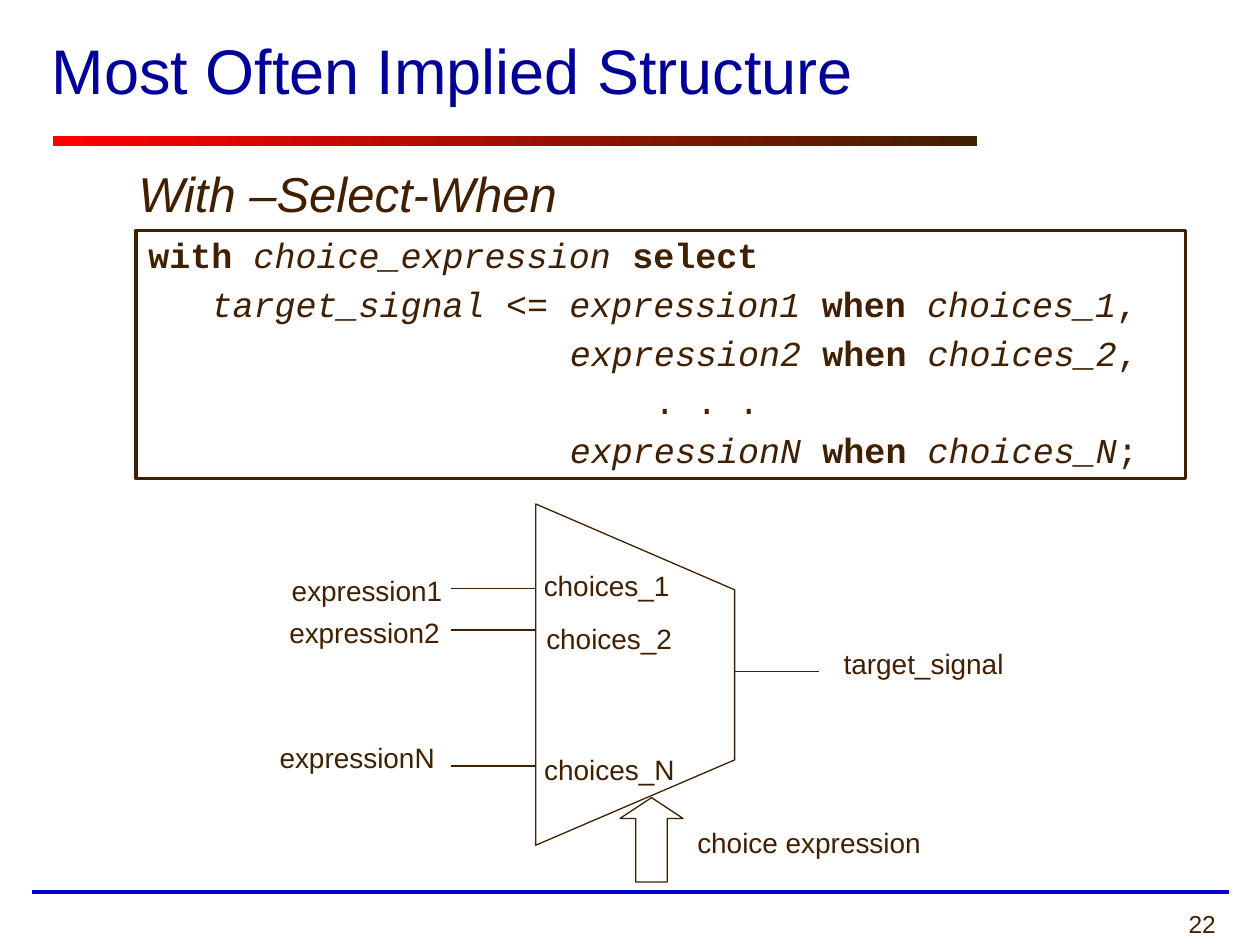
from dataclasses import dataclass

from lxml.etree import SubElement
from pptx import Presentation
from pptx.dml.color import RGBColor
from pptx.enum.shapes import MSO_CONNECTOR, MSO_SHAPE
from pptx.enum.text import MSO_ANCHOR, PP_ALIGN
from pptx.oxml.ns import qn
from pptx.util import Cm, Pt


@dataclass(frozen=True)
class Theme:
    ink: RGBColor = RGBColor(0x40, 0x20, 0x00)
    title: RGBColor = RGBColor(0x00, 0x00, 0x99)
    footer: RGBColor = RGBColor(0x00, 0x00, 0xCC)
    accent: RGBColor = RGBColor(0xFF, 0x00, 0x00)
    sans: str = "Arial"
    mono: str = "Courier New"
    title_size: Pt = Pt(36)
    heading_size: Pt = Pt(28)
    code_size: Pt = Pt(20)
    label_size: Pt = Pt(16)
    number_size: Pt = Pt(14)
    thin: Pt = Pt(0.75)


theme = Theme()
deck = Presentation()
deck.slide_width, deck.slide_height = Cm(25.4), Cm(19.05)
page = deck.slides.add_slide(deck.slide_layouts[5])


def add_line(x1, y1, x2, y2, color=theme.ink, width=theme.thin):
    line = page.shapes.add_connector(
        MSO_CONNECTOR.STRAIGHT, Cm(x1), Cm(y1), Cm(x2), Cm(y2))
    line.line.color.rgb = color
    line.line.width = width
    SubElement(line._element.spPr, qn("a:effectLst"))


def add_text(text, left, top, width, height, size, align, indent=0):
    box = page.shapes.add_textbox(Cm(left), Cm(top), Cm(width), Cm(height))
    box.text_frame.word_wrap = True
    box.text_frame.text = text
    para = box.text_frame.paragraphs[0]
    para.alignment = align
    para._p.get_or_add_pPr().set("marL", str(Cm(indent)))
    font = para.runs[0].font
    font.name, font.size, font.color.rgb = theme.sans, size, theme.ink
    return font


add_line(0.64, 17.98, 24.77, 17.98, theme.footer, Pt(2.25))

rule = page.shapes.add_shape(
    MSO_SHAPE.RECTANGLE, Cm(1.07), Cm(2.74), Cm(18.62), Cm(0.21))
rule.shadow.inherit = False
rule.line.fill.background()
rule.fill.gradient()
rule.fill.gradient_angle = 0
for stop, color, position in zip(rule.fill.gradient_stops, (theme.accent, theme.ink), (0, 1)):
    stop.color.rgb = color
    stop.position = position

add_text("22", 19.25, 18.21, 5.51, 0.84, theme.number_size, PP_ALIGN.RIGHT)

title = page.shapes.title
title.left, title.top, title.width, title.height = Cm(0.79), Cm(0.23), Cm(23.29), Cm(2.34)
title.text_frame.text = "Most Often Implied Structure"
title.text_frame.vertical_anchor = MSO_ANCHOR.MIDDLE
para = title.text_frame.paragraphs[0]
para.alignment = PP_ALIGN.LEFT
font = para.runs[0].font
font.name, font.size, font.color.rgb = theme.sans, theme.title_size, theme.title

code_box = page.shapes.add_shape(
    MSO_SHAPE.RECTANGLE, Cm(2.74), Cm(4.65), Cm(21.16), Cm(5))
code_box.shadow.inherit = False
code_box.fill.background()
code_box.line.color.rgb = theme.ink
code_box.line.width = Pt(2)
frame = code_box.text_frame
frame.word_wrap = True
frame.vertical_anchor = MSO_ANCHOR.TOP

character = 0.425
code_lines = [
    (0, [("with ", "b"), ("choice_expression ", "i"), ("select", "b")]),
    (3, [("target_signal", "i"), (" <= ", ""), ("expression1 ", "i"),
         ("when ", "b"), ("choices_1", "i"), (",", "")]),
    (20, [("expression2 ", "i"), ("when ", "b"), ("choices_2", "i"), (",", "")]),
    (24, [(". . .", "")]),
    (20, [("expressionN ", "i"), ("when ", "b"), ("choices_N", "i"), (";", "")]),
]
for number, (indent, pieces) in enumerate(code_lines):
    para = frame.add_paragraph() if number else frame.paragraphs[0]
    para.alignment = PP_ALIGN.LEFT
    para.line_spacing = 0.95
    para.space_before = Pt(5)
    para._p.get_or_add_pPr().set("marL", str(Cm(indent * character)))
    for text, style in pieces:
        span = para.add_run()
        span.text = text
        font = span.font
        font.name, font.size, font.color.rgb = theme.mono, theme.code_size, theme.ink
        font.bold, font.italic = style == "b", style == "i"

heading_font = add_text(
    "With –Select-When", 2.54, 3.18, 8.97, 1.45, theme.heading_size, PP_ALIGN.LEFT)
heading_font.italic = True

mux_left, mux_right = 10.8, 14.81
corners = [(Cm(x), Cm(y)) for x, y in (
    (mux_left, 17.04), (mux_right, 15.32), (mux_right, 11.89), (mux_left, 10.16))]
builder = page.shapes.build_freeform(*corners[0])
builder.add_line_segments(corners[1:], close=True)
mux = builder.convert_to_shape()
arrow = page.shapes.add_shape(
    MSO_SHAPE.UP_ARROW, Cm(12.5), Cm(16.08), Cm(1.27), Cm(1.7))
arrow.adjustments[0], arrow.adjustments[1] = 0.5, 0.33
for outline in (mux, arrow):
    outline.shadow.inherit = False
    outline.fill.background()
    outline.line.color.rgb = theme.ink
    outline.line.width = theme.thin

for y in (11.86, 12.7, 15.44):
    add_line(mux_left, y, 9.09, y)
add_line(16.51, 13.54, mux_right, 13.54)

labels = [
    ("choices_1", 8.1, 11.33, 5.72),
    ("choices_2", 8.15, 12.4, 5.72),
    ("choices_N", 7.42, 15.04, 7.19),
    ("expression1", 2.74, 11.43, 6.78),
    ("expression2", 2.69, 12.29, 6.78),
    ("expressionN", 2.54, 14.81, 6.78),
    ("target_signal", 12.27, 12.9, 10.16),
    ("choice expression", 9.96, 16.51, 10.16),
]
for text, left, top, width in labels:
    add_text(text, left, top, width, 0.94, theme.label_size, PP_ALIGN.CENTER, 2.54)

deck.save("out.pptx")
